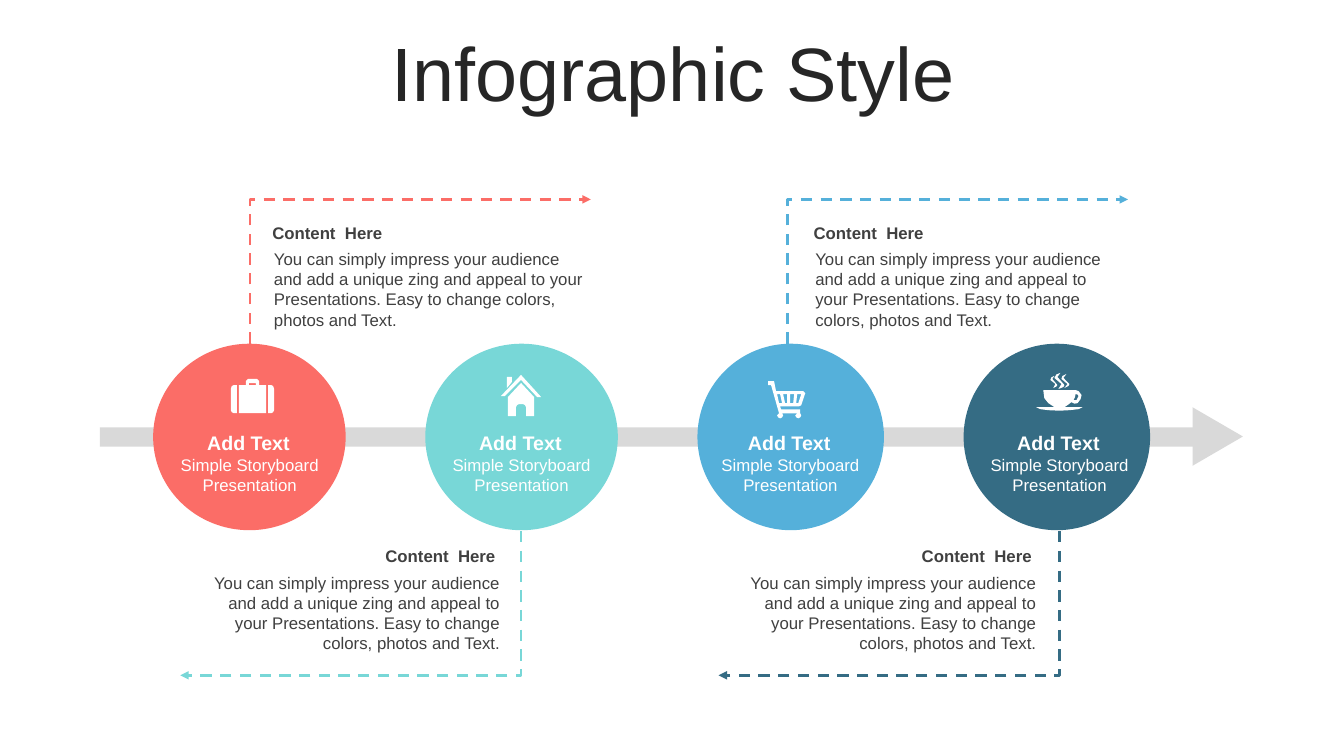
from lxml import etree
from pptx import Presentation, util as u
from pptx.dml.color import RGBColor
from pptx.enum import dml, shapes, text
from pptx.oxml.ns import qn

HUES = {"ink": "262626", "body": "404040", "bar": "D9D9D9", "white": "FFFFFF",
        "coral": "FB6D67", "mint": "78D7D7", "sky": "55B0DA", "navy": "356C84"}
TITLE = "Infographic Style"
LABEL = ("Add Text", "Simple Storyboard Presentation")
NOTE = ("Content  Here",
        "You can simply impress your audience and add a unique zing and appeal "
        "to your Presentations. Easy to change colors, photos and Text.")

CASE = [
    [(17, 0), (26, 0), (28, 2), (28, 6), (35, 6), (35, 34), (8, 34), (8, 6), (15, 6), (15, 2)],
    [(18, 4), (18, 6), (25, 6), (25, 4)],
    [(37, 6), (40, 6), (42, 7), (43, 10), (43, 31), (42, 33), (40, 34), (37, 34)],
    [(3, 6), (6, 6), (6, 34), (3, 34), (1, 33), (0, 31), (0, 10), (1, 7)],
]
HOUSE = [
    [(20, 8), (33, 22), (33, 41), (25, 41), (25, 32), (24, 30), (22, 29), (18, 29),
     (16, 30), (15, 32), (15, 41), (7, 41), (7, 22)],
    [(6, 2), (11, 2), (11, 7), (6, 13)],
    [(20, 0), (40, 22), (36, 22), (20, 5), (4, 21), (0, 21)],
]
CART = [
    [(6, 0), (8, 10), (35, 10), (37, 12), (33, 24), (31, 25), (12, 25), (13, 28), (32, 28),
     (32, 32), (33, 34), (32, 36), (30, 37), (28, 36), (27, 34), (29, 32), (14, 32),
     (15, 34), (14, 36), (12, 37), (10, 36), (9, 34), (11, 32), (3, 4), (0, 4), (0, 0)],
    [(29, 13), (28, 22), (30, 22), (33, 13)],
    [(22, 13), (22, 22), (25, 22), (26, 13)],
    [(15, 13), (17, 22), (19, 22), (19, 13)],
    [(9, 13), (11, 22), (14, 22), (12, 13)],
]
CUP = [
    [(39, 17), (42, 18), (45, 22), (44, 26), (41, 30), (38, 30.5), (35, 29), (31, 32),
     (28, 34), (46, 34), (42, 36), (33, 37), (23, 37.5), (12, 37), (4, 36), (0, 34),
     (18, 34), (12, 30), (8, 25), (7, 17)],
    [(39, 21), (38.5, 24), (37, 27), (40, 27), (42, 23), (41, 21.5)],
    [(18, 3), (16, 6), (21, 12), (20, 13.5), (17, 15), (19, 11), (14, 7), (15, 4.5)],
    [(30, 1), (27, 5), (33, 11), (32, 13), (28, 15), (31, 11), (25, 6), (26, 3)],
    [(24, 0), (21, 4), (28, 12), (27, 14), (22, 16), (25, 11), (18, 5), (20, 1.5)],
]

STAGES = [
    dict(hue="coral", disc=(109.4, 137.5), label=(108, 139), stem=178.6, up=True,
         note=(188.6, 236.9), icon=CASE, spot=(164.9, 270.7)),
    dict(hue="mint", disc=(303.8, 137.5), label=(304, 135.4), stem=372.2, up=False,
         note=(134.6, 229.7), icon=HOUSE, spot=(357.8, 267.8)),
    dict(hue="sky", disc=(498.2, 133.2), label=(496, 135.4), stem=562.3, up=True,
         note=(575.3, 229.7), icon=CART, spot=(548.6, 272.2)),
    dict(hue="navy", disc=(688.3, 133.2), label=(688.3, 135.4), stem=756.7, up=False,
         note=(517.7, 229.7), icon=CUP, spot=(740.2, 266.4)),
]
DISC_TOP, DISC_H = 245.5, 133.2
RISE, RUN = 103, 243.4

deck = Presentation()
deck.slide_width, deck.slide_height = u.Pt(960), u.Pt(540)
slide = deck.slides.add_slide(deck.slide_layouts[5])
items = slide.shapes


def tint(name):
    return RGBColor.from_string(HUES[name])


def box(*sides):
    return [u.Pt(side) for side in sides]


def paint(shape, hue):
    shape.fill.solid()
    shape.fill.fore_color.rgb = tint(hue)
    shape.line.fill.background()
    shape.shadow.inherit = False


def style(para, size, hue, bold, align):
    para.alignment = align
    for run in para.runs:
        font = run.font
        font.name, font.size, font.bold = "Arial", u.Pt(size), bold
        font.color.rgb = tint(hue)


def write(words, place, size, hue, bold, align):
    frame = items.add_textbox(*box(*place)).text_frame
    frame.word_wrap = True
    frame.text = words
    style(frame.paragraphs[0], size, hue, bold, align)


def draw(icon, spot):
    first, *rest = [[(round(x * 10), round(y * 10)) for x, y in ring] for ring in icon]
    pen = items.build_freeform(*first[0], scale=u.Pt(0.072))
    pen.add_line_segments(first[1:])
    for ring in rest:
        pen.move_to(*ring[0])
        pen.add_line_segments(ring[1:])
    paint(pen.convert_to_shape(*box(*spot)), "white")


def link(stem, up, hue):
    side = 1 if up else -1
    mid_x = stem + side * RUN / 2
    mid_y = DISC_TOP - RISE / 2 if up else DISC_TOP + DISC_H + 0.7 + RISE / 2
    left, top = mid_x - RISE / 2, mid_y - RUN / 2
    line = items.add_connector(shapes.MSO_CONNECTOR.ELBOW,
                               *box(left + RISE, top + RUN, left, top))
    line.line.color.rgb = tint(hue)
    line.line.width = u.Pt(2)
    line.line.dash_style = dml.MSO_LINE.DASH
    props = line._element.spPr
    props.find(qn("a:prstGeom")).set("prst", "bentConnector2")
    props.find(qn("a:xfrm")).set("rot", str((90 if up else 270) * 60000))
    etree.SubElement(props.find(qn("a:ln")), qn("a:tailEnd")).set("type", "triangle")
    etree.SubElement(props, qn("a:effectLst"))


title = items.title
title.left, title.top, title.width, title.height = box(25.2, 26.6, 911.5, 56.9)
frame = title.text_frame
frame.text = TITLE
frame.word_wrap = True
frame.auto_size = text.MSO_AUTO_SIZE.NONE
frame.vertical_anchor = text.MSO_ANCHOR.MIDDLE
frame.paragraphs[0].line_spacing = 0.9
style(frame.paragraphs[0], 54, "ink", False, text.PP_ALIGN.CENTER)

kind = shapes.MSO_SHAPE
paint(items.add_shape(kind.RECTANGLE, *box(71.3, 305.3, 785.5, 13.7)), "bar")
head = items.add_shape(kind.ISOSCELES_TRIANGLE, *box(848.9, 293.8, 41.8, 36))
head.rotation = 90
paint(head, "bar")

for stage in STAGES:
    hue, up = stage["hue"], stage["up"]
    left, wide = stage["disc"]
    paint(items.add_shape(kind.OVAL, *box(left, DISC_TOP, wide, DISC_H)), hue)
    left, wide = stage["label"]
    mid = text.PP_ALIGN.CENTER
    write(LABEL[0], (left, 304.6, wide, 24.5), 14, "white", True, mid)
    write(LABEL[1], (left + 0.9, 321.1, wide, 36), 12, "white", False, mid)
    left, wide = stage["note"]
    top = 155.5 if up else 386.6
    align = text.PP_ALIGN.LEFT if up else text.PP_ALIGN.RIGHT
    write(NOTE[0], (left - 1.2, top, wide - 2.1, 21.6), 12, "body", True, align)
    write(NOTE[1], (left, top + 18.7, wide, 65.5), 12, "body", False, align)
    draw(stage["icon"], stage["spot"])
    link(stage["stem"], up, hue)

deck.save("out.pptx")
